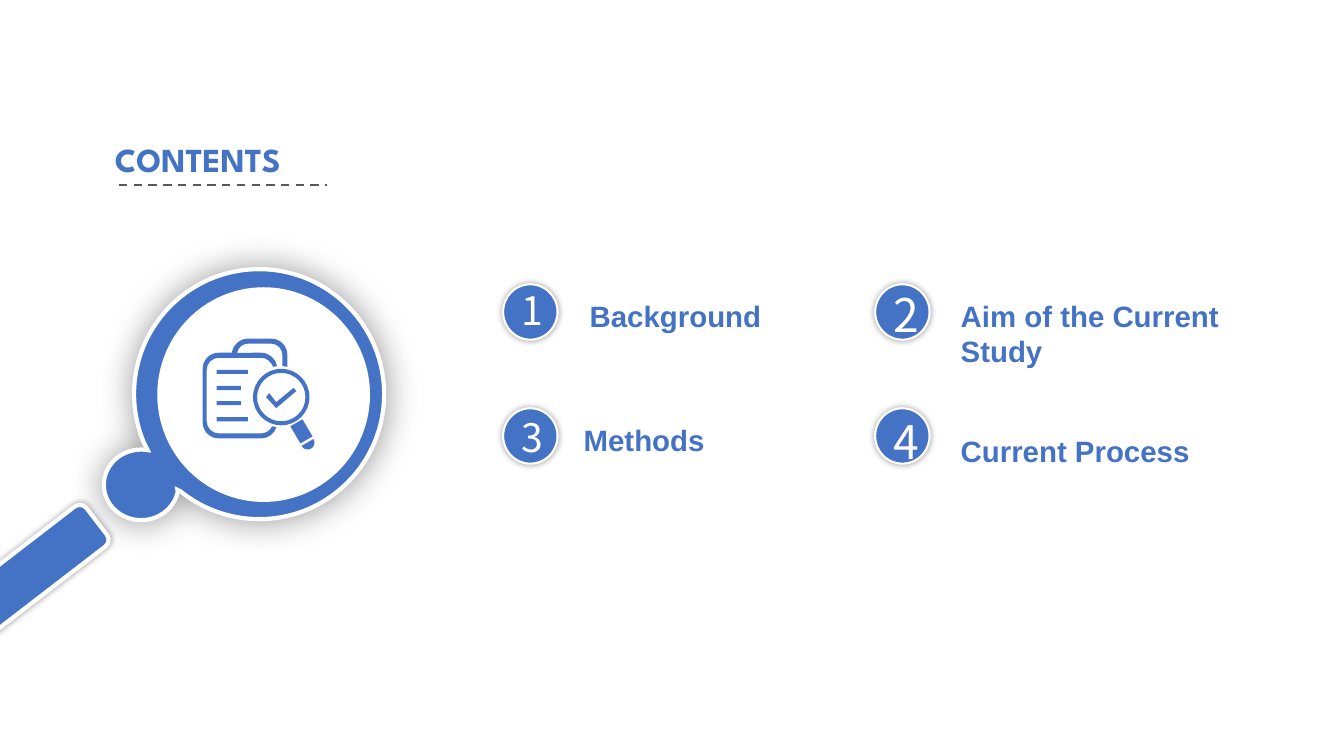
from math import cos, dist, radians, sin, tan

from lxml import etree
from pptx import Presentation
from pptx.dml.color import RGBColor
from pptx.enum.dml import MSO_LINE
from pptx.enum.shapes import MSO_CONNECTOR, MSO_SHAPE
from pptx.enum.text import MSO_AUTO_SIZE
from pptx.oxml.ns import qn
from pptx.util import Inches, Pt

COLORS = {"blue": "4472C4", "white": "FFFFFF", "rule": "595959", "shadow": "000000"}


def color(name):
    return RGBColor.from_string(COLORS[name])


def add_text(slide, text, x, y, w, h, size=21, font="Arial", ink="blue", bold=False, grow=False):
    box = slide.shapes.add_textbox(Inches(x), Inches(y), Inches(w), Inches(h))
    frame = box.text_frame
    frame.word_wrap = True
    frame.auto_size = MSO_AUTO_SIZE.SHAPE_TO_FIT_TEXT if grow else MSO_AUTO_SIZE.NONE
    run = frame.paragraphs[0].add_run()
    run.text = text
    run.font.size, run.font.name, run.font.bold = Pt(size), font, bold
    run.font.color.rgb = color(ink)


def style(shape, fill="blue", border=0, blur=0):
    shape.shadow.inherit = False
    shape.fill.solid()
    shape.fill.fore_color.rgb = color(fill)
    if border:
        shape.line.color.rgb = color("white")
        shape.line.width = Pt(border)
        etree.SubElement(shape._element.spPr.find(qn("a:ln")), qn("a:miter"), lim="800000")
    else:
        shape.line.fill.background()
    if blur:
        effects = shape._element.spPr.find(qn("a:effectLst"))
        glow = etree.SubElement(effects, qn("a:outerShdw"), blurRad=str(Pt(blur)),
                                dist="0", dir="0", algn="ctr", rotWithShape="0")
        tint = etree.SubElement(glow, qn("a:srgbClr"), val=COLORS["shadow"])
        etree.SubElement(tint, qn("a:alpha"), val="40000")


def add_preset(slide, kind, x, y, w, h, **look):
    shape = slide.shapes.add_shape(kind, Inches(x), Inches(y), Inches(w), Inches(h))
    style(shape, **look)
    return shape


def arc(cx, cy, rx, ry, start, end):
    """A start point, then one curve (two controls, one end) per quarter; clockwise degrees."""
    low, high = sorted((start, end))
    stops = [low, *(a for a in range(0, 720, 90) if low < a < high), high]
    if start > end:
        stops.reverse()

    def spot(angle, pull=0.0):
        a = radians(angle)
        return cx + rx * (cos(a) - pull * sin(a)), cy + ry * (sin(a) + pull * cos(a))

    pieces = [spot(start)]
    for a, b in zip(stops, stops[1:]):
        pull = 4 / 3 * tan(radians(b - a) / 4)
        pieces.append((spot(a, pull), spot(b, -pull), spot(b)))
    return pieces


def add_outline(slide, x, y, contours, **look):
    """Contours hold points for straight lines and triples of points for curves."""
    builder, groups = None, []
    for contour in contours:
        end, run = contour[0], []
        for piece in contour[1:]:
            points = piece if len(piece) == 3 else (piece,)
            if len(points) == 3 or dist(end, piece) > 0.015:
                run.append(points)
            end = points[-1]
        first = Inches(x + contour[0][0]), Inches(y + contour[0][1])
        if builder:
            builder.move_to(*first)
        else:
            builder = slide.shapes.build_freeform(*first, scale=1.0)
        builder.add_line_segments(
            [(Inches(x + px), Inches(y + py)) for points in run for px, py in points], close=True)
        groups += run
    shape = builder.convert_to_shape()
    # Turn each run of three points into one curve
    steps = iter(list(shape._element.spPr.iter(qn("a:lnTo"))))
    for points in groups:
        nodes = [next(steps) for _ in points]
        if len(nodes) == 3:
            curve = etree.Element(qn("a:cubicBezTo"))
            nodes[0].addprevious(curve)
            for node in nodes:
                curve.append(node[0])
                node.getparent().remove(node)
    style(shape, **look)


def add_heading(slide, x, y, w, h):
    add_text(slide, "CONTENTS", x, y, w, h, size=24, font="League Spartan", bold=True, grow=True)
    rule_y = Inches(y + 0.51)
    rule = slide.shapes.add_connector(MSO_CONNECTOR.STRAIGHT, Inches(x + 0.14), rule_y,
                                      Inches(x + w), rule_y)
    rule.line.color.rgb = color("rule")
    rule.line.width = Pt(1.5)
    rule.line.dash_style = MSO_LINE.DASH
    etree.SubElement(rule._element.spPr, qn("a:effectLst"))


def add_report_icon(slide, x, y):
    def bend(cx, cy, radius, start, end):
        return arc(cx, cy, radius, radius, start, end)

    # Two overlapping sheets drawn as one open band
    sheets = [
        (0.69, 0.87), *bend(0.58, 0.83, 0.16, 18, 90), *bend(0.16, 0.83, 0.16, 90, 180),
        *bend(0.16, 0.3, 0.16, 180, 270), (0.29, 0.14),
        *bend(0.45, 0.16, 0.16, 188, 270), *bend(0.68, 0.16, 0.16, 270, 360),
        (0.84, 0.28), (0.79, 0.27),
        *bend(0.68, 0.16, 0.11, 360, 270), *bend(0.45, 0.16, 0.11, 270, 190),
        *bend(0.58, 0.3, 0.16, 270, 350), (0.7, 0.28),
        *bend(0.58, 0.3, 0.11, 350, 270), *bend(0.16, 0.31, 0.12, 270, 180),
        *bend(0.16, 0.82, 0.12, 180, 90), *bend(0.58, 0.82, 0.12, 90, 25),
    ]
    # Small lens with its handle and tip
    lens = [bend(0.78, 0.58, radius, 0, 360) for radius in (0.28, 0.24)]
    handle = [(0.99, 0.8), (0.87, 0.87), (0.97, 1.04), (1.09, 0.97)]
    tip = bend(1.04, 1.03, 0.07, -30, 150)
    # Text lines and check mark
    lines = [[(0.14, top), (0.14 + w, top), (0.14 + w, top + 0.04), (0.14, top + 0.04)]
             for top, w in ((0.31, 0.31), (0.47, 0.24), (0.62, 0.24), (0.78, 0.31))]
    check = [(0.73, 0.63), (0.66, 0.54), (0.63, 0.58), (0.73, 0.69), (0.93, 0.52), (0.9, 0.49)]
    add_outline(slide, x, y, [sheets, *lens, handle, tip, *lines, check])


def add_magnifier(slide, x, y):
    # Lens rim joined to its round knob
    rim = [*arc(1.54, 1.24, 1.24, 1.24, 157, 489), (0.73, 2.19),
           *arc(0.37, 2.14, 0.37, 0.35, 11, 280)]
    add_outline(slide, x, y, [rim], border=3, blur=25)
    add_preset(slide, MSO_SHAPE.OVAL, x + 0.53, y + 0.18, 2.11, 2.13, fill="white")
    add_report_icon(slide, x + 0.98, y + 0.69)
    # Long handle running off the left edge
    handle = add_preset(slide, MSO_SHAPE.ROUNDED_RECTANGLE, x - 2.06, y + 2.93, 2.22, 0.5,
                        border=3, blur=5)
    handle.rotation = 322.4


def add_entry(slide, x, y, number, title, title_dx, title_dy, title_w, title_h, digit_size):
    add_preset(slide, MSO_SHAPE.OVAL, x, y, 0.54, 0.55, border=1.5, blur=5)
    digit_dy = -0.03 if number < 3 else 0
    add_text(slide, str(number), x + 0.08, y + digit_dy, 0.54, digit_size / 50, size=digit_size,
             font="Noto Sans CJK SC", ink="white", grow=True)
    add_text(slide, title, x + title_dx, y + title_dy, title_w, title_h, bold=True)


def add_entries(slide, x, y):
    # Title, its offset from the badge, and its box size
    entries = [
        ("Background", 0.76, 0.09, 2.2, 0.37),
        ("Aim of the Current Study", 0.75, 0.09, 3.08, 0.5),
        ("Methods", 0.7, 0.09, 2.65, 0.37),
        ("Current Process", 0.75, 0.2, 2.87, 0.37),
    ]
    for i, entry in enumerate(entries):
        row, column = divmod(i, 2)
        add_entry(slide, x + column * 3.69, y + row * 1.23, i + 1, *entry,
                  digit_size=(28, 33)[column])


def main():
    deck = Presentation()
    deck.slide_width, deck.slide_height = Inches(13.33), Inches(7.5)
    slide = deck.slides.add_slide(deck.slide_layouts[6])
    add_heading(slide, 1.04, 1.33, 2.2, 0.5)
    add_magnifier(slide, 1.03, 2.67)
    add_entries(slide, 4.99, 2.82)
    deck.save("out.pptx")


if __name__ == "__main__":
    main()
